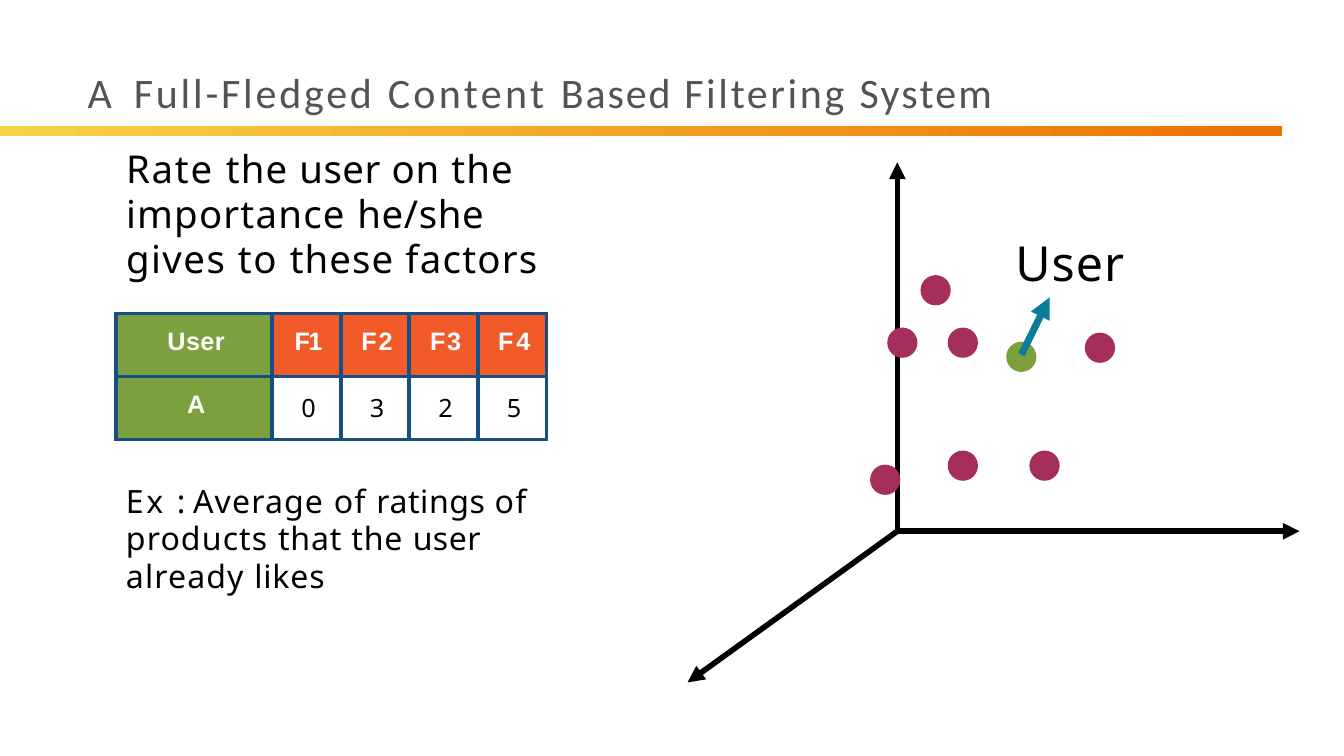
from lxml.etree import SubElement
from pptx import Presentation
from pptx.dml.color import RGBColor
from pptx.enum.shapes import MSO_CONNECTOR as CONN, MSO_SHAPE as SHAPE
from pptx.enum.text import MSO_ANCHOR as ANCHOR, MSO_AUTO_SIZE as AUTO, PP_ALIGN as ALIGN
from pptx.oxml import parse_xml
from pptx.oxml.ns import nsdecls, qn
from pptx.util import Pt

PX = 9144  # 100 px to the inch
BLACK, WHITE = "000000", "FFFFFF"
GREEN, ORANGE, PLUM, TEAL, NAVY = "7CA03E", "F15B2A", "A62E5C", "0A7E99", "164F86"
BODY = "Noto Sans"


def px(*lengths):
    return [round(n * PX) for n in lengths]


def rgb(hex_color):
    return RGBColor.from_string(hex_color)


def write(tf, runs, size, font=BODY, color=BLACK, bold=False, align=ALIGN.LEFT,
          line=None, before=0, margins=(1, 1, 0, 0), anchor=ANCHOR.TOP):
    """Fill a frame with one paragraph of (text, letter spacing in points) runs."""
    tf.word_wrap = True
    tf.vertical_anchor = anchor
    tf.margin_left, tf.margin_top, tf.margin_right, tf.margin_bottom = px(*margins)
    p = tf.paragraphs[0]
    p.alignment = align
    p.space_before = Pt(before)
    if line:
        p.line_spacing = Pt(line)
    for text, spacing in runs:
        r = p.add_run()
        r.text = text
        r.font.name, r.font.size, r.font.bold = font, Pt(size), bold
        r.font.color.rgb = rgb(color)
        r._r.get_or_add_rPr().set("spc", str(round(spacing * 100)))


def add_text(s, box, runs, size, **fmt):
    write(s.shapes.add_textbox(*px(*box)).text_frame, runs, size, **fmt)


def add_arrow(s, start, end, color, width):
    c = s.shapes.add_connector(CONN.STRAIGHT, *px(*start, *end))
    c.line.color.rgb = rgb(color)
    c.line.width = Pt(width)
    SubElement(c.line._get_or_add_ln(), qn("a:tailEnd"), type="triangle")
    SubElement(c._element.spPr, qn("a:effectLst"))


def add_dot(s, x, y, color, d=30):
    dot = s.shapes.add_shape(SHAPE.OVAL, *px(x, y, d, d))
    dot.shadow.inherit = False
    dot.fill.solid()
    dot.fill.fore_color.rgb = rgb(color)
    dot.line.fill.background()


def add_header(s, x, y, w, h):
    bar = s.shapes.add_shape(SHAPE.RECTANGLE, *px(x, y + h - 10, w, 10))
    bar.shadow.inherit = False
    bar.line.fill.background()
    bar.fill.gradient()
    bar.fill.gradient_angle = 0
    stops = ((0, "F7D346"), (0.98, "EE7103"))
    for stop, (position, color) in zip(bar.fill.gradient_stops, stops):
        stop.position = position
        stop.color.rgb = rgb(color)

    title = s.shapes.title
    title.left, title.top, title.width, title.height = px(x + 86, y, 1160, 52)
    title.text_frame.auto_size = AUTO.NONE
    write(title.text_frame,
          [("A ", 4.4), ("Full-Fledged ", 2), ("Content ", 2.4),
           ("Based ", 1.4), ("Filtering ", 1.9), ("System", 1.6)],
          30, font="Calibri", color="535353", before=0.8, anchor=ANCHOR.BOTTOM)


def add_borders(cell, color, width):
    tcPr = cell._tc.get_or_add_tcPr()
    for i, side in enumerate("LRTB"):
        tcPr.insert(i, parse_xml(
            f'<a:ln{side} {nsdecls("a")} w="{Pt(width)}"><a:solidFill>'
            f'<a:srgbClr val="{color}"/></a:solidFill></a:ln{side}>'))


def add_ratings(s, x, y, w, h):
    rows = ([("User", 0.3), ("F1", -1.1), ("F2", 1.3), ("F3", 1.3), ("F4", 2.1)],
            [("A", 0), ("0", 0), ("3", 0), ("2", 0), ("5", 0)])
    factor_w = 68
    table = s.shapes.add_table(2, 5, *px(x, y, w, h)).table
    table.first_row = table.horz_banding = False
    for i, col in enumerate(table.columns):
        col.width, = px(factor_w if i else w - 4 * factor_w)
    for i, row in enumerate(rows):
        for j, run in enumerate(row):
            cell = table.cell(i, j)
            label = i == 0 or j == 0
            if label:
                cell.fill.solid()
                cell.fill.fore_color.rgb = rgb(ORANGE if j else GREEN)
            else:
                cell.fill.background()
            add_borders(cell, NAVY, 3)
            tf = cell.text_frame
            write(tf, [run], 18, font="Arial" if label else BODY,
                  color=WHITE if label else BLACK, bold=label, align=ALIGN.CENTER)
            cell.margin_left, cell.margin_top, cell.margin_right, cell.margin_bottom = px(4, 14, 0, 0)


def add_explanation(s, x, y, w, h):
    add_text(s, (x + 9, y, w - 15, 138),
             [("Rate ", 1.3), ("the ", 0.8), ("user ", 0.4), ("on ", 0.7), ("the ", 0.8),
              ("importance ", 0.9), ("he/she ", 0.5), ("gives to ", 1.1),
              ("these ", 0.8), ("factors", 0.9)],
             27.4, line=32.2, before=2.2, margins=(1, 3, 0, 0))
    add_ratings(s, x, y + 169, w, 125)
    add_text(s, (x + 9, y + h - 116, w - 23, 116),
             [("Ex ", 1.8), (": ", -0.4), ("Average ", 0.8), ("of ", 0.9), ("ratings ", 0.4),
              ("of ", 0.9), ("products ", 0.8), ("that the ", 0.6), ("user ", 0.3),
              ("already ", 0.8), ("likes", 0.6)],
             22.9, line=27, before=1.9, margins=(1, 3, 0, 0))


def add_factor_space(s, x, y, w, h):
    origin = (x + 208, y + 366)
    for end in ((x + w, origin[1]), (x, y + h), (origin[0], y)):
        add_arrow(s, origin, end, BLACK, 4)
    products = ((394, 169), (198, 164), (231, 112), (181, 300),
                (258, 286), (339, 286), (258, 164))
    for dx, dy in products:
        add_dot(s, x + dx, y + dy, PLUM)
    add_dot(s, x + 316, y + 178, GREEN)
    add_arrow(s, (x + 331, y + 191), (x + 359, y + 134), TEAL, 5)
    add_text(s, (x + 324, y + 69, 111, 59), [("User", 0.8)], 34.5, before=0.8)


def main():
    prs = Presentation()
    prs.slide_width, prs.slide_height = px(1333, 750)
    s = prs.slides.add_slide(prs.slide_layouts[5])
    add_header(s, 0, 64, 1272, 71)
    add_explanation(s, 115, 142, 427, 449)
    add_factor_space(s, 682, 161, 607, 516)
    prs.save("out.pptx")


if __name__ == "__main__":
    main()
